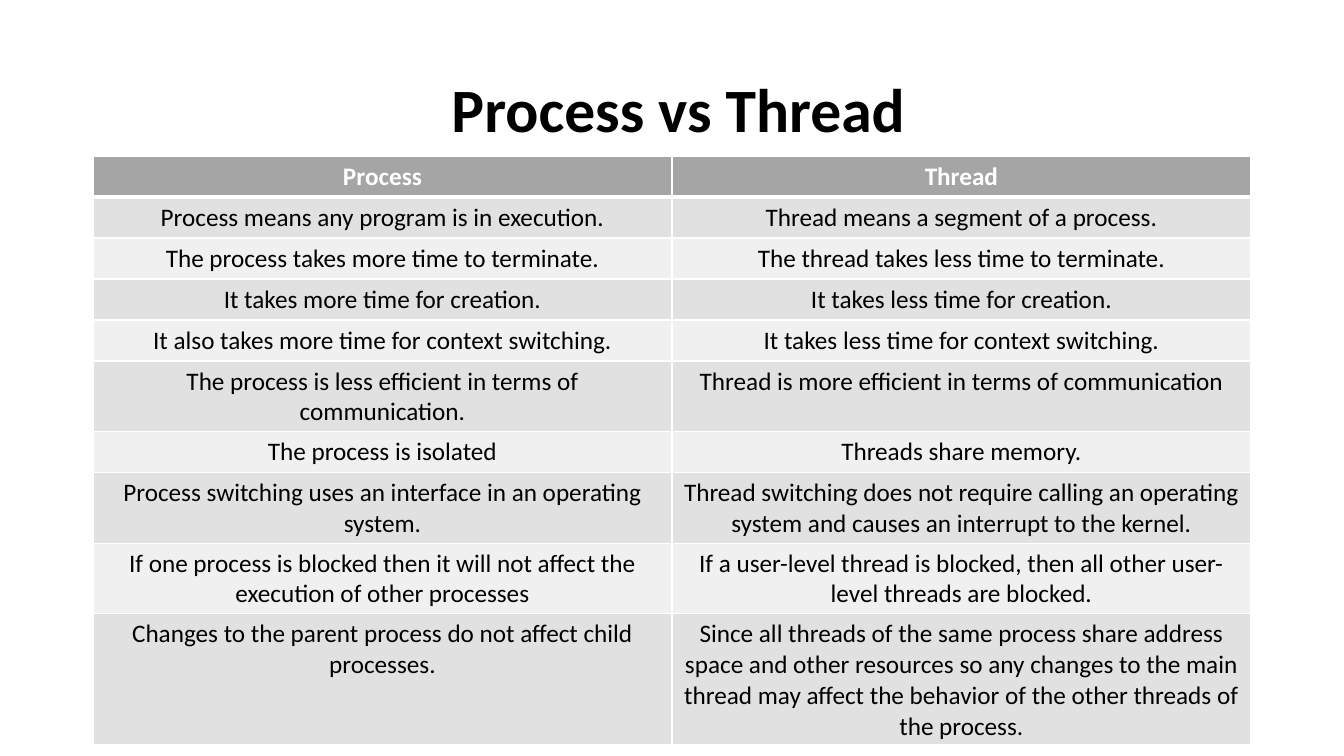
"""Build a slide that compares processes and threads in a two-column table."""
from lxml import etree
from pptx import Presentation
from pptx.dml.color import RGBColor
from pptx.enum.text import MSO_ANCHOR, PP_ALIGN
from pptx.oxml.ns import qn
from pptx.util import Emu, Pt

CENTER = PP_ALIGN.CENTER
MIDDLE = MSO_ANCHOR.MIDDLE
BLACK = RGBColor(0x00, 0x00, 0x00)
WHITE = RGBColor(0xFF, 0xFF, 0xFF)
HEADER_GRAY = RGBColor(0xA5, 0xA5, 0xA5)
DARK_BAND = RGBColor(0xE1, 0xE1, 0xE1)
LIGHT_BAND = RGBColor(0xF0, 0xF0, 0xF0)
EMU_PER_PX = 914400 / 100.8
THIN, THICK = Pt(1), Pt(3)

ROWS = [
    ("Process", "Thread"),
    ("Process means any program is in execution.",
     "Thread means a segment of a process."),
    ("The process takes more time to terminate.",
     "The thread takes less time to terminate."),
    ("It takes more time for creation.",
     "It takes less time for creation."),
    ("It also takes more time for context switching.",
     "It takes less time for context switching."),
    ("The process is less efficient in terms of communication.",
     "Thread is more efficient in terms of communication"),
    ("The process is isolated",
     "Threads share memory."),
    ("Process switching uses an interface in an operating system.",
     "Thread switching does not require calling an operating system "
     "and causes an interrupt to the kernel."),
    ("If one process is blocked then it will not affect the execution of other processes",
     "If a user-level thread is blocked, then all other user-level threads are blocked."),
    ("Changes to the parent process do not affect child processes.",
     "Since all threads of the same process share address space and other resources "
     "so any changes to the main thread may affect the behavior of the other threads "
     "of the process."),
]


def px(length):
    return Emu(round(length * EMU_PER_PX))


def write_text(frame, text, size=18, color=BLACK, bold=False, line_spacing=1.0):
    paragraph = frame.paragraphs[0]
    paragraph.alignment = CENTER
    paragraph.line_spacing = line_spacing
    run = paragraph.add_run()
    run.text = text
    run.font.name = "Calibri"
    run.font.size = Pt(size)
    run.font.bold = bold
    run.font.color.rgb = color


presentation = Presentation()
presentation.slide_width = px(1344)
presentation.slide_height = px(756)
slide = presentation.slides.add_slide(presentation.slide_layouts[6])

title = slide.shapes.add_textbox(px(99), px(40), px(1159), px(146))
title.text_frame.word_wrap = True
title.text_frame.vertical_anchor = MIDDLE
write_text(title.text_frame, "Process vs Thread", size=44, bold=True, line_spacing=0.9)

table = slide.shapes.add_table(
    len(ROWS), 2, px(93), px(156), px(1158), px(41 * len(ROWS))).table

for row_index, texts in enumerate(ROWS):
    table.rows[row_index].height = px(41)
    is_header = row_index == 0
    band = DARK_BAND if row_index % 2 else LIGHT_BAND
    borders = {
        "a:lnL": THIN,
        "a:lnR": THIN,
        "a:lnT": THICK if row_index == 1 else THIN,
        "a:lnB": THICK if is_header else THIN,
    }
    for column_index, text in enumerate(texts):
        cell = table.cell(row_index, column_index)
        write_text(cell.text_frame, text, color=WHITE if is_header else BLACK, bold=is_header)
        properties = cell._tc.get_or_add_tcPr()
        for tag, width in borders.items():
            line = etree.SubElement(properties, qn(tag), w=str(width))
            line_fill = etree.SubElement(line, qn("a:solidFill"))
            etree.SubElement(line_fill, qn("a:srgbClr"), val=str(WHITE))
        cell.fill.solid()
        cell.fill.fore_color.rgb = HEADER_GRAY if is_header else band

presentation.save("out.pptx")
